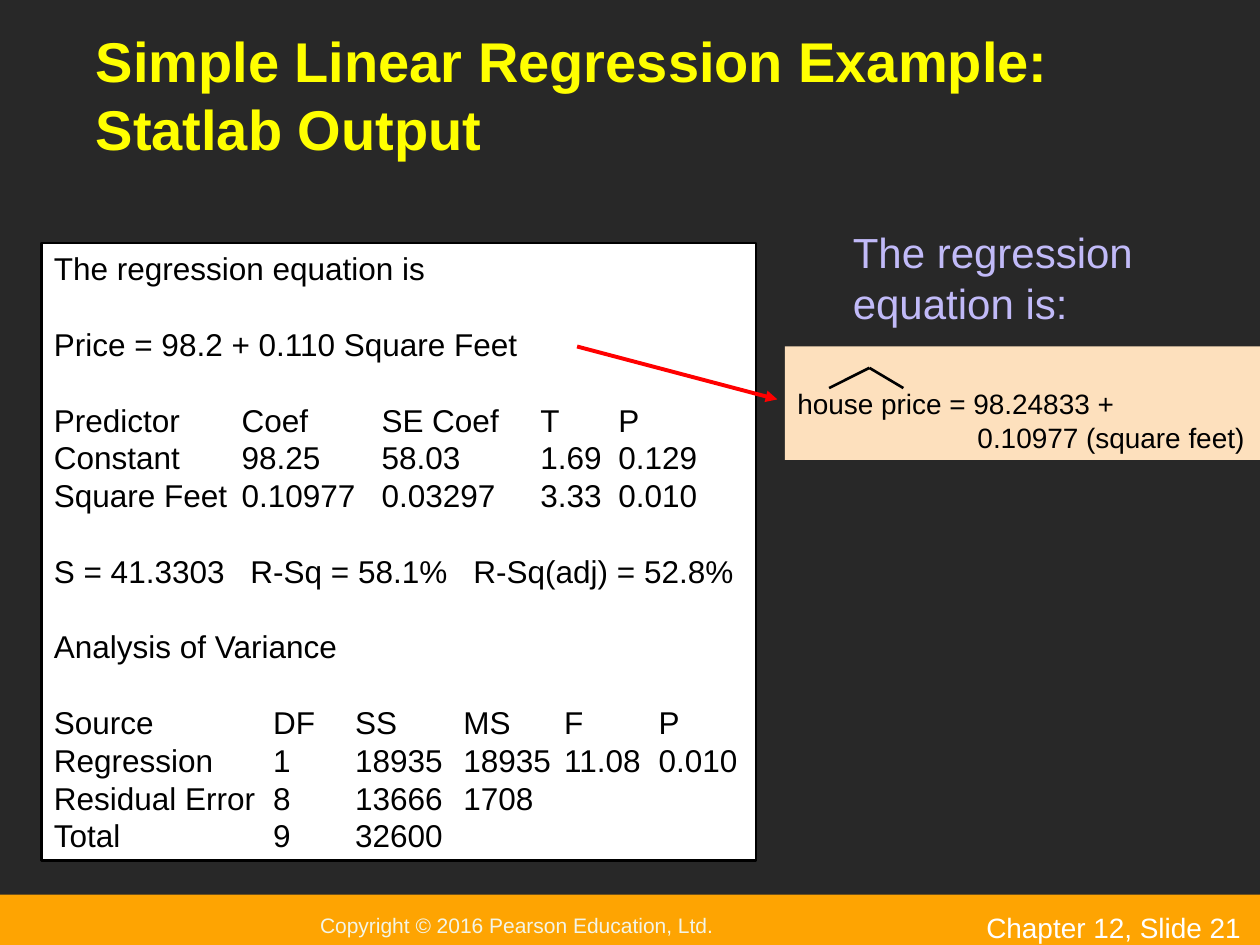
from pptx import Presentation
from pptx.dml.color import RGBColor
from pptx.enum.shapes import MSO_CONNECTOR as Link, MSO_SHAPE as Preset
from pptx.enum.text import MSO_ANCHOR as Anchor, PP_ALIGN as Align
from pptx.oxml.ns import qn
from pptx.util import Inches, Pt
from lxml.etree import SubElement

COEFFICIENT_STOPS = (1.49, 2.6, 3.86, 4.48)
FIT_STOPS = (1.56, 3.33)
VARIANCE_STOPS = (1.74, 2.39, 3.25, 4.05, 4.8)

REPORT = [
    [("The regression equation is", ())],
    [("Price = 98.2 + 0.110 Square Feet", ())],
    [
        ("Predictor\tCoef\tSE Coef\tT\tP", COEFFICIENT_STOPS),
        ("Constant\t98.25\t58.03\t1.69\t0.129", COEFFICIENT_STOPS),
        ("Square Feet\t0.10977\t0.03297\t3.33\t0.010", COEFFICIENT_STOPS),
    ],
    [("S = 41.3303\tR-Sq = 58.1%\tR-Sq(adj) = 52.8%", FIT_STOPS)],
    [("Analysis of Variance", ())],
    [
        ("Source\tDF\tSS\tMS\tF\tP", VARIANCE_STOPS),
        ("Regression\t1\t18935\t18935\t11.08\t0.010", VARIANCE_STOPS),
        ("Residual Error\t8\t13666\t1708", VARIANCE_STOPS),
        ("Total\t9\t32600", VARIANCE_STOPS),
    ],
]


def rgb(code):
    """Turn a hex string into a colour."""
    return RGBColor.from_string(code)


def set_all(target, values):
    """Set every attribute named in values on target."""
    for name, value in values.items():
        setattr(target, name, value)


def add_panel(slide, box, fill, line=None):
    """Add a filled rectangle, outlined if a line colour is given."""
    panel = slide.shapes.add_shape(Preset.RECTANGLE, *map(Inches, box))
    panel.shadow.inherit = False
    panel.fill.solid()
    panel.fill.fore_color.rgb = rgb(fill)
    if line:
        panel.line.color.rgb = rgb(line)
        panel.line.width = Pt(1.5)
    else:
        panel.line.fill.background()
    return panel


def add_label(slide, box):
    """Add an empty text box."""
    return slide.shapes.add_textbox(*map(Inches, box))


def write(holder, blocks, size, color, bold=False, anchor=Anchor.TOP,
          left=0.1, top=0.05, right=0.1):
    """Write blocks of (line, tab stops), with one line's gap between blocks."""
    frame = holder.text_frame
    set_all(frame, {
        "word_wrap": True,
        "vertical_anchor": anchor,
        "margin_left": Inches(left),
        "margin_top": Inches(top),
        "margin_right": Inches(right),
        "margin_bottom": Inches(0.05),
    })
    pitch = Pt(size * 1.2)
    paragraph = frame.paragraphs[0]
    for block_index, block in enumerate(blocks):
        for line_index, (line, stops) in enumerate(block):
            if block_index or line_index:
                paragraph = frame.add_paragraph()
            if stops:
                tab_list = SubElement(paragraph._p.get_or_add_pPr(), qn("a:tabLst"))
                for stop in stops:
                    SubElement(tab_list, qn("a:tab"), pos=str(Inches(stop)), algn="l")
            gap = pitch if block_index and not line_index else 0
            set_all(paragraph, {"alignment": Align.LEFT, "line_spacing": pitch,
                                "space_before": Pt(0) + gap})
            run = paragraph.add_run()
            run.text = line
            set_all(run.font, {"name": "Arial", "size": Pt(size), "bold": bold})
            run.font.color.rgb = rgb(color)


def add_line(shapes, start, end, color, width, arrow=False):
    """Add a straight line, with an arrowhead at its end if asked."""
    line = shapes.add_connector(Link.STRAIGHT, *map(Inches, start + end))
    line.line.color.rgb = rgb(color)
    line.line.width = Pt(width)
    if arrow:
        SubElement(line.line._get_or_add_ln(), qn("a:tailEnd"), type="triangle")
    SubElement(line._element.spPr, qn("a:effectLst"))


def main():
    """Build the slide and save it."""
    deck = Presentation()
    set_all(deck, {"slide_width": Inches(10), "slide_height": Inches(7.5)})
    slide = deck.slides.add_slide(deck.slide_layouts[6])
    slide.background.fill.solid()
    slide.background.fill.fore_color.rgb = rgb("282828")

    footer = add_panel(slide, (0, 7.1, 10, 0.49), "FEA402")
    write(footer, [[("Copyright © 2016 Pearson Education, Ltd.", ())]], 12, "F3F5E7",
          anchor=Anchor.MIDDLE, left=2.54)
    slide_number = add_label(slide, (7.73, 7.18, 2.33, 0.26))
    write(slide_number, [[("Chapter 12, Slide 21", ())]], 16, "FFFFFF")

    title = add_label(slide, (0.67, 0.25, 8.67, 1.08))
    write(title, [[("Simple Linear Regression Example: Statlab Output", ())]],
          32, "FFFF00", bold=True, anchor=Anchor.BOTTOM, left=0.09, right=0.09)

    report = add_panel(slide, (0.33, 1.93, 5.67, 4.9), "FFFFFF", "000000")
    write(report, REPORT, 18, "000000", anchor=Anchor.MIDDLE)

    lead_in = add_label(slide, (6.67, 1.75, 3, 0.9))
    write(lead_in, [[("The regression equation is:", ())]], 24, "C1BAF8")

    equation = add_panel(slide, (6.23, 2.75, 3.77, 0.9), "FDE0BD")
    write(equation, [[("house price = 98.24833 +", ()),
                      ("\t0.10977 (square feet)", (1.43,))]],
          16, "000000", top=0.32, right=0)

    hat = slide.shapes.add_group_shape()
    peak = (6.9, 2.92)
    for foot in ((6.58, 3.08), (7.17, 3.08)):
        add_line(hat.shapes, foot, peak, "000000", 1.5)
    add_line(slide.shapes, (4.58, 2.75), (6.17, 3.17), "FF0000", 2.25, arrow=True)

    deck.save("out.pptx")


if __name__ == "__main__":
    main()
